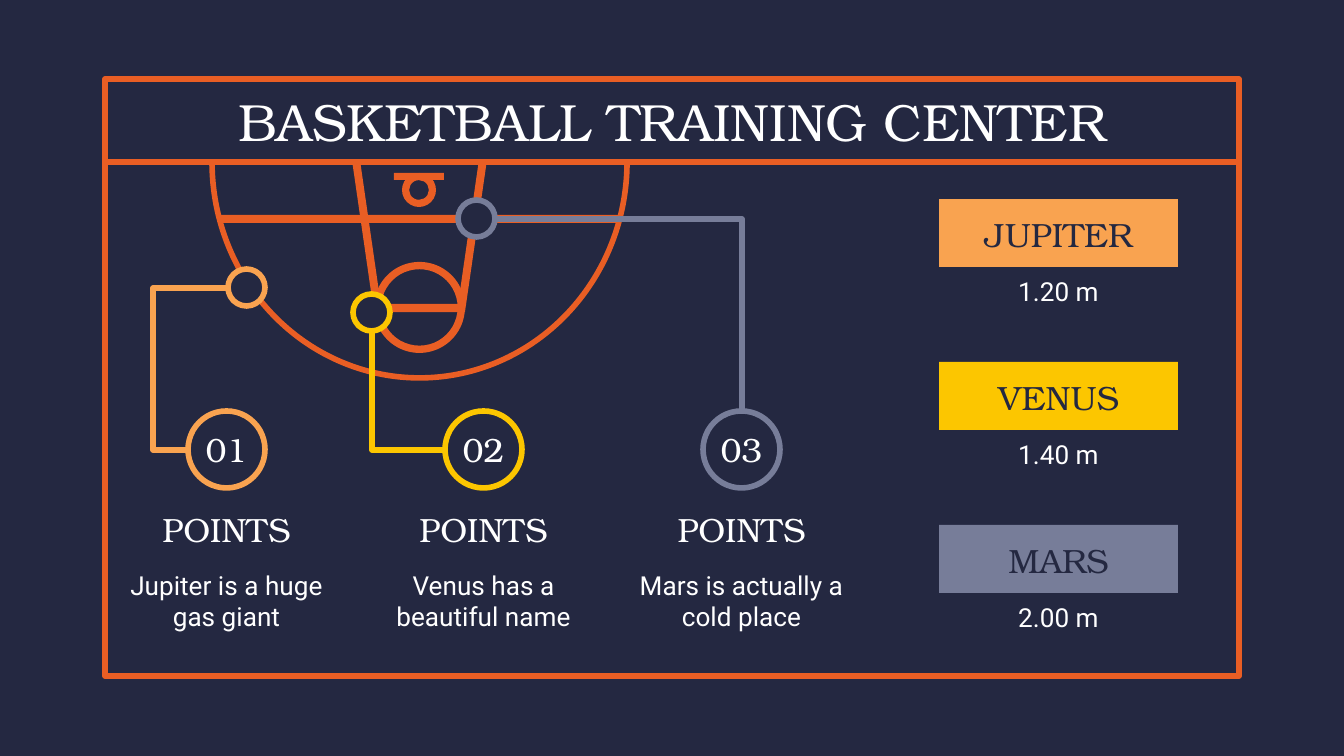
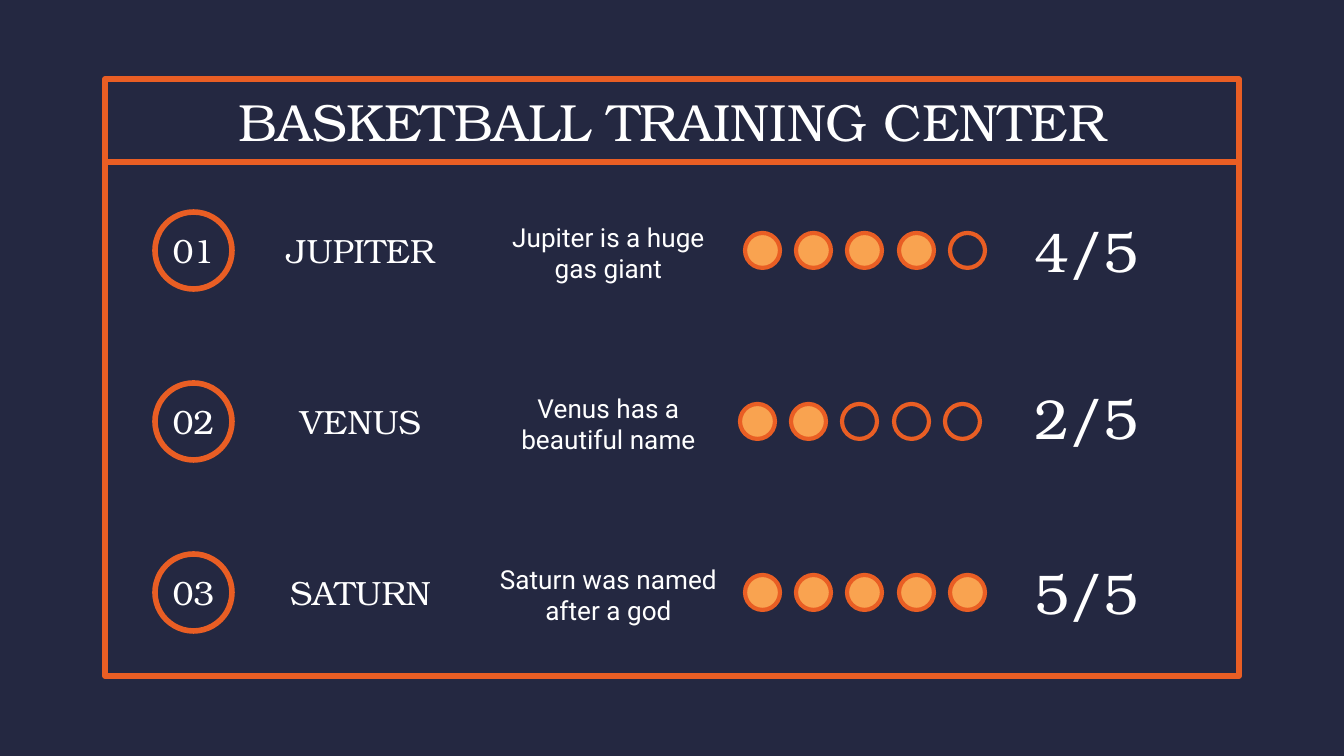
from lxml import etree
from pptx import Presentation
from pptx import util as u
from pptx.dml.color import RGBColor
from pptx.enum import shapes, text
from pptx.oxml.ns import qn

WIDTH, HEIGHT = 1344, 756
SCALE = 9144000 / WIDTH  # EMU per px
COLORS = {
    "navy": "242841",
    "orange": "E95E24",
    "apricot": "F9A350",
    "yellow": "FCC600",
    "slate": "777D99",
    "white": "FFFFFF",
}
SERIF, SANS = "TeX Gyre Bonum", "Roboto"
TOP, MIDDLE, BOTTOM = (
    text.MSO_ANCHOR.TOP, text.MSO_ANCHOR.MIDDLE, text.MSO_ANCHOR.BOTTOM)
# font, size, anchor, space after, side margin in px
STYLES = {
    "title": (SERIF, 28, MIDDLE, 0, 13),
    "heading": (SERIF, 18, BOTTOM, 12, 13),
    "name": (SERIF, 18, MIDDLE, 12, 13),
    "number": (SERIF, 18, MIDDLE, 0, 0),
    "score": (SERIF, 30, MIDDLE, 12, 13),
    "body": (SANS, 14, TOP, 0, 13),
}
KIND = shapes.MSO_SHAPE
RING, SPOT, DOT = 77, 37, 35


def px(length):
    return u.Emu(round(length * SCALE))


def rgb(name):
    return RGBColor.from_string(COLORS[name])


def assign(target, values):
    for name, value in values.items():
        setattr(target, name, value)


class Builder:
    """Holds the deck, its style and the slide being filled."""

    def __init__(self):
        self.deck = Presentation()
        assign(self.deck, {"slide_width": px(WIDTH), "slide_height": px(HEIGHT)})
        fill = self.deck.slide_master.background.fill
        fill.solid()
        fill.fore_color.rgb = rgb("navy")
        self.page = None

    def start_page(self, title):
        """Add a slide with its title inside the ruled frame."""
        layout = self.deck.slide_layouts.get_by_name("Title Only")
        self.page = self.deck.slides.add_slide(layout)
        self.shape(KIND.RECTANGLE, (105, 79, 1134, 597), line="orange")
        self.connector(shapes.MSO_CONNECTOR.STRAIGHT, (107, 162), (1236, 162), "orange")
        box = self.page.shapes.title
        assign(box, dict(zip(("left", "top", "width", "height"),
                             map(px, (105, 79, 1134, 84)))))
        self.put_words(box, title, "title")

    def put_words(self, box, words, style, color="white"):
        font, size, anchor, after, side = STYLES[style]
        frame = box.text_frame
        assign(frame, {
            "word_wrap": True, "auto_size": text.MSO_AUTO_SIZE.NONE,
            "vertical_anchor": anchor,
            "margin_left": px(side), "margin_right": px(side),
            "margin_top": px(13), "margin_bottom": px(13),
        })
        para = frame.paragraphs[0]
        assign(para, {"alignment": text.PP_ALIGN.CENTER, "space_after": u.Pt(after)})
        span = para.add_run()
        span.text = words
        assign(span.font, {"name": font, "size": u.Pt(size)})
        span.font.color.rgb = rgb(color)

    def text(self, place, words, style):
        self.put_words(self.page.shapes.add_textbox(*map(px, place)), words, style)

    def paint(self, shape, fill=None, line=None, weight=3):
        shape.shadow.inherit = False
        if fill:
            shape.fill.solid()
            shape.fill.fore_color.rgb = rgb(fill)
        else:
            shape.fill.background()
        if line:
            shape.line.color.rgb = rgb(line)
            shape.line.width = u.Pt(weight)
        else:
            shape.line.fill.background()

    def shape(self, kind, place, fill=None, line=None, weight=3, adjust=()):
        shape = self.page.shapes.add_shape(kind, *map(px, place))
        for index, value in enumerate(adjust):
            shape.adjustments[index] = value
        self.paint(shape, fill, line, weight)
        return shape

    def circle(self, left, top, size, line, fill="navy", weight=3):
        return self.shape(KIND.OVAL, (left, top, size, size), fill, line, weight)

    def numbered_ring(self, left, top, number, line):
        self.put_words(self.circle(left, top, RING, line), f"{number:02}", "number")

    def outline(self, points, fill):
        builder = self.page.shapes.build_freeform(*points[0], scale=SCALE)
        builder.add_line_segments(points[1:], close=True)
        self.paint(builder.convert_to_shape(), fill)

    def connector(self, kind, start, end, color, preset=None, bend=None):
        """Draw a line; preset and bend reshape an elbow."""
        line = self.page.shapes.add_connector(kind, *map(px, start + end))
        line.line.color.rgb = rgb(color)
        line.line.width = u.Pt(3)
        properties = line._element.spPr
        geometry = properties.find(qn("a:prstGeom"))
        if preset:
            geometry.set("prst", preset)
        if bend is not None:
            etree.SubElement(geometry.find(qn("a:avLst")), qn("a:gd"),
                             name="adj1", fmla=f"val {round(bend * 100000)}")
        etree.SubElement(properties, qn("a:effectLst"))


def draw_court(show):
    show.shape(KIND.PIE, (212, -54, 415, 432), line="orange", adjust=(0, 108))
    show.shape(KIND.RECTANGLE, (220, 215, 398, 8), "orange")
    show.shape(KIND.DONUT, (374, 262, 91, 91), "orange", adjust=(0.08,))
    show.shape(KIND.RECTANGLE, (381, 304, 84, 8), "orange")
    show.shape(KIND.DONUT, (402, 173, 34, 34), "orange", adjust=(0.21,))
    show.outline([(352, 160), (374, 312), (465, 312), (487, 160),
                  (479, 160), (458, 305), (381, 305), (360, 160)], "orange")
    show.shape(KIND.RECTANGLE, (394, 173, 50, 7), "orange")


def court_page(show):
    show.start_page("BASKETBALL TRAINING CENTER")
    draw_court(show)

    elbow = shapes.MSO_CONNECTOR.ELBOW
    show.connector(elbow, (188, 450), (228, 288), "apricot", bend=-0.87)
    show.connector(elbow, (446, 450), (372, 331), "yellow", "bentConnector2")
    show.connector(elbow, (495, 219), (742, 411), "slate", "bentConnector2")

    throws = [
        ("apricot", (228, 269), "Jupiter is a huge gas giant"),
        ("yellow", (353, 294), "Venus has a beautiful name"),
        ("slate", (458, 200), "Mars is actually a cold place"),
    ]
    for index, (color, spot, note) in enumerate(throws):
        left = 107 + index * 515 // 2
        show.circle(*spot, SPOT, color)
        show.numbered_ring(left + 81, 411, index + 1, color)
        show.text((left, 495, 239, 67), "POINTS", "heading")
        show.text((left, 556, 239, 84), note, "body")

    distances = [("JUPITER", "1.20 m", "apricot"), ("VENUS", "1.40 m", "yellow"),
                 ("MARS", "2.00 m", "slate")]
    for index, (name, distance, color) in enumerate(distances):
        top = 199 + 163 * index
        label = show.shape(KIND.RECTANGLE, (939, top, 239, 68), color)
        show.put_words(label, name, "heading", "navy")
        show.text((939, top + 63, 239, 50), distance, "body")


def ratings_page(show):
    show.start_page("BASKETBALL TRAINING CENTER")
    # name, note, score, left of the dots, top of the score
    ratings = [
        ("JUPITER", "Jupiter is a huge gas giant", 4, 745, 208),
        ("VENUS", "Venus has a beautiful name", 2, 740, 375),
        ("SATURN", "Saturn was named after a god", 5, 745, 550),
    ]
    for index, (name, note, score, dots_left, score_top) in enumerate(ratings):
        top = 208 + 171 * index
        show.numbered_ring(155, top + 4, index + 1, "orange")
        show.text((245, top, 231, 84), name, "name")
        show.text((476, top, 265, 84), note, "body")
        for dot in range(5):
            show.circle(dots_left + dot * 257 // 5, top + 25, DOT, "orange",
                        "apricot" if dot < score else "navy", 2.25)
        show.text((985, score_top, 203, 84), f"{score}/5", "score")


def main():
    show = Builder()
    court_page(show)
    ratings_page(show)
    show.deck.save("out.pptx")


if __name__ == "__main__":
    main()
